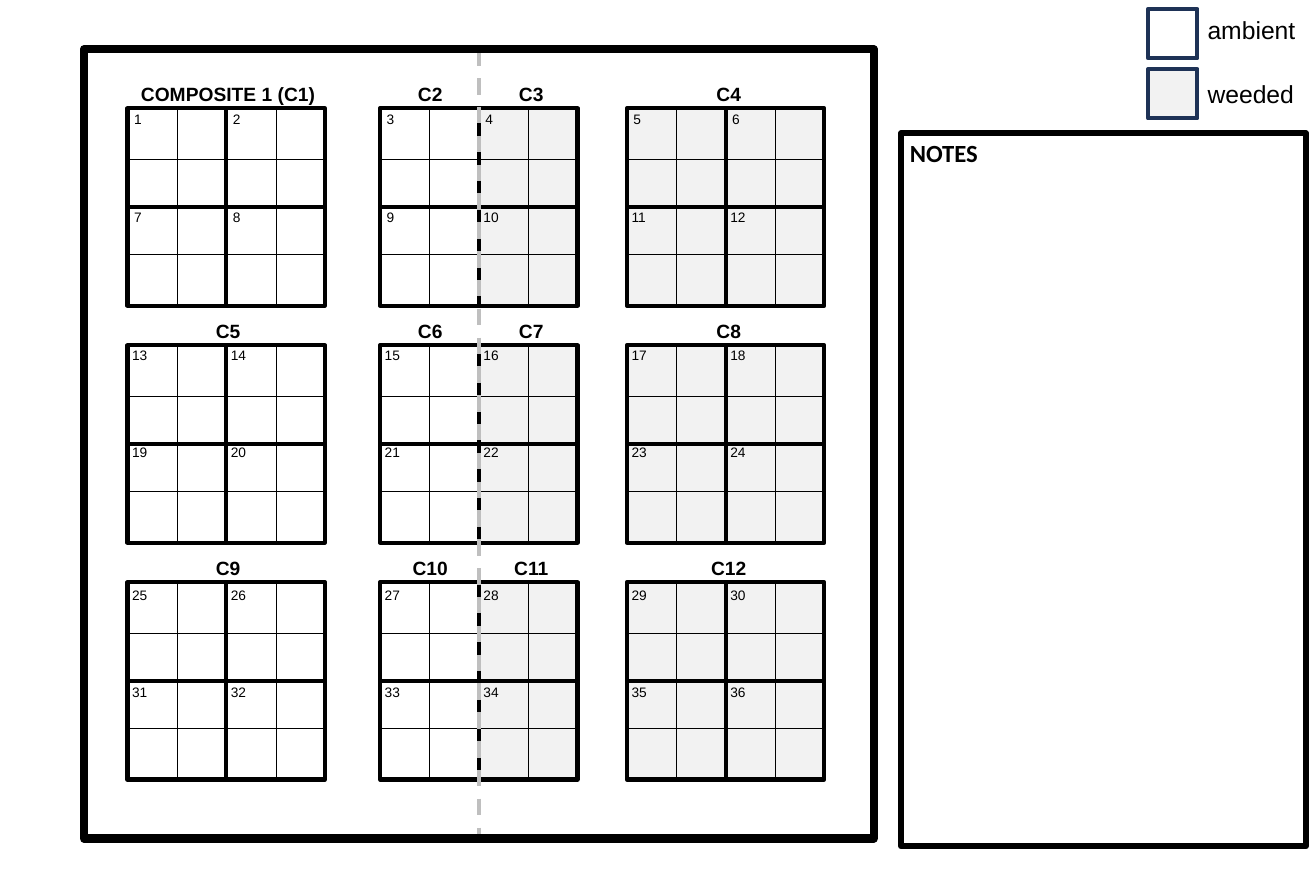
"""Build a field plot map with composites, numbered plots, a legend and a notes box."""
from pptx import Presentation
from pptx.dml.color import RGBColor
from pptx.enum.dml import MSO_LINE
from pptx.enum.shapes import MSO_CONNECTOR, MSO_SHAPE
from pptx.enum.text import MSO_AUTO_SIZE, PP_ALIGN
from pptx.oxml.ns import qn
from pptx.util import Cm, Pt
from lxml import etree

RECT = MSO_SHAPE.RECTANGLE
LINE = MSO_CONNECTOR.STRAIGHT
DASH = MSO_LINE.DASH
FIT = MSO_AUTO_SIZE.SHAPE_TO_FIT_TEXT
LEFT, MID = PP_ALIGN.LEFT, PP_ALIGN.CENTER
BLACK = RGBColor(0x00, 0x00, 0x00)
WHITE = RGBColor(0xFF, 0xFF, 0xFF)
PALE = RGBColor(0xF2, 0xF2, 0xF2)
GREY = RGBColor(0xBF, 0xBF, 0xBF)
NAVY = RGBColor(0x1E, 0x32, 0x56)

NAMES = [
    ["COMPOSITE 1 (C1)", "C2", "C3", "C4"],
    ["C5", "C6", "C7", "C8"],
    ["C9", "C10", "C11", "C12"],
]
LEGEND = [("ambient", WHITE, 0.23, 0.25), ("weeded", PALE, 1.78, 1.9)]
FILLS = [WHITE, None, PALE]
COLS = [3.28, 9.78, 16.13]
ROWS = [2.79 + 6.1 * i for i in range(3)]
MIDS = [5.87, 11.07, 13.67, 18.75]
SHIFTS = [-0.05, -0.08, 0]
WIDTHS = {2: 1.14, 3: 1.42, 16: 5.03}
SIDE = 5.08
HALF = SIDE / 2
ACROSS = [1.28, 3.82]
DOWN = [1.32, 3.76]

deck = Presentation()
deck.slide_width, deck.slide_height = Cm(33.86), Cm(22.86)
slide = deck.slides.add_slide(deck.slide_layouts[6])
shapes = slide.shapes


def add_box(x, y, wide, high, fill=None, edge=None, size=3):
    box = shapes.add_shape(RECT, Cm(x), Cm(y), Cm(wide), Cm(high))
    box.shadow.inherit = False
    if fill is None:
        box.fill.background()
    else:
        box.fill.solid()
        box.fill.fore_color.rgb = fill
    if edge is None:
        box.line.fill.background()
    else:
        box.line.color.rgb = edge
        box.line.width = Pt(size)
    return box


def add_line(x1, y1, x2, y2, size, color=BLACK):
    line = shapes.add_connector(LINE, Cm(x1), Cm(y1), Cm(x2), Cm(y2))
    line.line.color.rgb = color
    line.line.width = Pt(size)
    etree.SubElement(line._element.spPr, qn("a:effectLst"))
    return line


def join(line, box, start, end):
    line.begin_connect(box, start)
    line.end_connect(box, end)


def add_text(text, x, y, wide, high, size=10, bold=False, font="Arial", align=LEFT):
    frame = shapes.add_textbox(Cm(x), Cm(y), Cm(wide), Cm(high)).text_frame
    frame.word_wrap = False
    frame.auto_size = FIT
    par = frame.paragraphs[0]
    par.alignment = align
    run = par.add_run()
    run.text = text
    run.font.name, run.font.size, run.font.bold = font, Pt(size), bold
    run.font.color.rgb = BLACK


def add_block(x, y, fill):
    if fill is None:
        for i, shade in enumerate((WHITE, PALE)):
            add_box(x + i * HALF, y, HALF, SIDE, shade)
    block = add_box(x, y, SIDE, SIDE, fill, BLACK)
    for start, end in ((0, 2), (3, 1)):
        join(add_line(x, y, x, y, 3), block, start, end)
    for gap in ACROSS:
        add_line(x + gap, y, x + gap, y + SIDE, 0.5)
    for gap in DOWN:
        add_line(x, y + gap, x + SIDE, y + gap, 0.5)


def add_number(num, x, y):
    wide, back = (0.71, 0.08) if num < 10 else (0.91, 0.13)
    add_text(str(num), x - back, y, wide, 0.69)


add_box(23.19, 3.43, 10.41, 18.36, WHITE, BLACK, 4.5)
add_text("NOTES", 23.16, 3.43, 2.29, 1.02, size=18, bold=True, font="Calibri")

for y in ROWS:
    for x, fill in zip(COLS, FILLS):
        add_block(x, y, fill)

split = add_line(12.32, 1.27, 12.32, 21.59, 3, GREY)
split.line.dash_style = DASH
field = add_box(2.16, 1.27, 20.32, 20.32, edge=BLACK, size=6)
join(split, field, 0, 2)

for row, (y, names) in enumerate(zip(ROWS, NAMES)):
    for name, mid in zip(names, MIDS):
        wide = WIDTHS[len(name)]
        add_text(name, mid - wide / 2, y - 0.79, wide, 0.86, size=14, bold=True, align=MID)
    for i in range(12):
        half, col = divmod(i, 6)
        x = COLS[col // 2] + col % 2 * HALF
        add_number(row * 12 + i + 1, x, y + SHIFTS[row] + half * 2.5)

for label, fill, top, base in LEGEND:
    add_box(29.54, top, 1.27, 1.27, fill, NAVY)
    add_text(label, 30.82, base, 2.78, 1.02, size=18)

deck.save("out.pptx")
